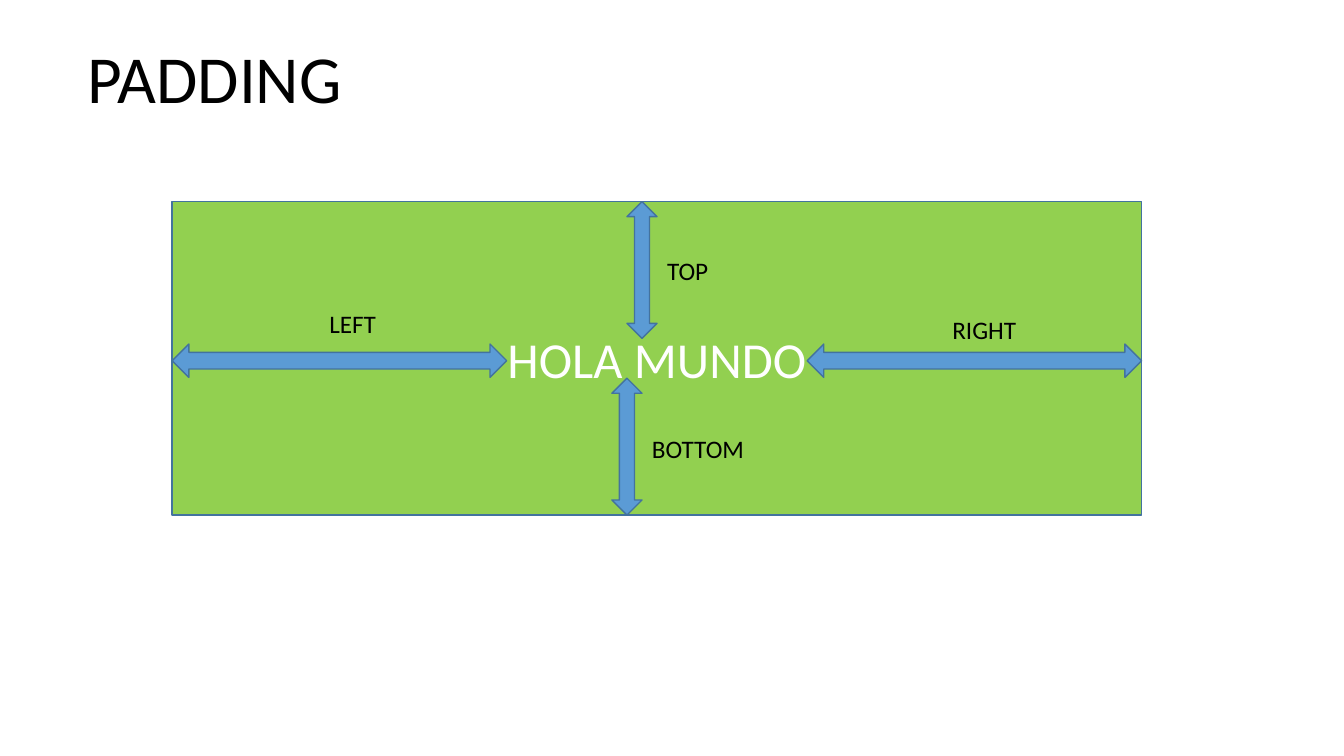
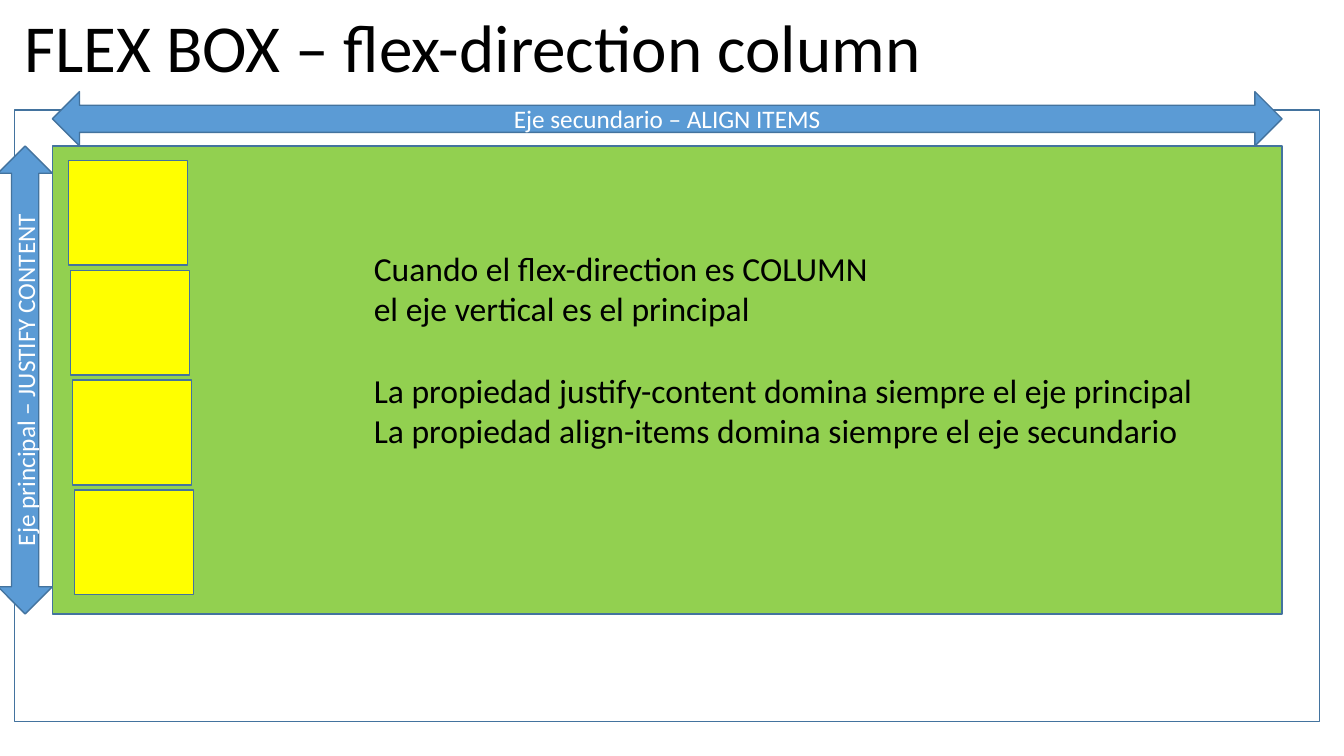
from dataclasses import dataclass
from typing import Optional

from pptx import Presentation
from pptx.dml.color import RGBColor
from pptx.enum.shapes import MSO_SHAPE
from pptx.enum.text import MSO_ANCHOR, MSO_AUTO_SIZE, PP_ALIGN
from pptx.util import Cm, Pt

BLACK = RGBColor(0x00, 0x00, 0x00)
WHITE = RGBColor(0xFF, 0xFF, 0xFF)
GREEN = RGBColor(0x92, 0xD0, 0x50)
YELLOW = RGBColor(0xFF, 0xFF, 0x00)
BLUE = RGBColor(0x5B, 0x9B, 0xD5)
OUTLINE = RGBColor(0x43, 0x73, 0x9E)

RECTANGLE = MSO_SHAPE.RECTANGLE
VERTICAL_ARROW = MSO_SHAPE.UP_DOWN_ARROW
HORIZONTAL_ARROW = MSO_SHAPE.LEFT_RIGHT_ARROW
TOP, MIDDLE = MSO_ANCHOR.TOP, MSO_ANCHOR.MIDDLE
LEFT, CENTER = PP_ALIGN.LEFT, PP_ALIGN.CENTER
NO_AUTOFIT = MSO_AUTO_SIZE.NONE

FONT = "Calibri"
TITLE_SIZE, HEADLINE_SIZE, BODY_SIZE, LABEL_SIZE = 48, 36, 24, 18
TITLE_ONLY_LAYOUT = 5


@dataclass(frozen=True)
class Box:
    """A rectangle on the slide, in centimetres."""
    left: float
    top: float
    width: float
    height: float

    @property
    def right(self) -> float:
        return self.left + self.width

    @property
    def bottom(self) -> float:
        return self.top + self.height

    def lengths(self) -> tuple:
        return Cm(self.left), Cm(self.top), Cm(self.width), Cm(self.height)


@dataclass(frozen=True)
class Label:
    text: str
    box: Box


def write(frame, lines: list[str], size: int, color: RGBColor,
          align=LEFT, anchor=TOP) -> None:
    frame.word_wrap = True
    frame.auto_size = NO_AUTOFIT
    frame.vertical_anchor = anchor
    for index, line in enumerate(lines):
        paragraph = frame.add_paragraph() if index else frame.paragraphs[0]
        paragraph.alignment = align
        run = paragraph.add_run()
        run.text = line
        run.font.name = FONT
        run.font.size = Pt(size)
        run.font.color.rgb = color


def add_titled_slide(prs, title: str, box: Box):
    slide = prs.slides.add_slide(prs.slide_layouts[TITLE_ONLY_LAYOUT])
    heading = slide.shapes.title
    heading.left, heading.top, heading.width, heading.height = box.lengths()
    write(heading.text_frame, [title], TITLE_SIZE, BLACK)
    return slide


def add_outlined(slide, kind, box: Box, fill: Optional[RGBColor],
                 text: str = "", size: int = LABEL_SIZE, rotation: float = 0) -> None:
    shape = slide.shapes.add_shape(kind, *box.lengths())
    shape.rotation = rotation
    shape.shadow.inherit = False
    if fill is None:
        shape.fill.background()
    else:
        shape.fill.solid()
        shape.fill.fore_color.rgb = fill
    shape.line.color.rgb = OUTLINE
    shape.line.width = Pt(1)
    if text:
        write(shape.text_frame, [text], size, WHITE, CENTER, MIDDLE)


def add_text(slide, box: Box, lines: list[str], size: int) -> None:
    write(slide.shapes.add_textbox(*box.lengths()).text_frame, lines, size, BLACK)


def build_padding_slide(prs) -> None:
    slide = add_titled_slide(prs, "PADDING", Box(1.96, 0.79, 8.05, 2.31))
    element = Box(4.34, 5.08, 24.43, 7.9)
    add_outlined(slide, RECTANGLE, element, GREEN, "HOLA MUNDO", HEADLINE_SIZE)

    thickness, height = 0.76, 3.45
    for left, top in ((15.8, element.top), (15.42, element.bottom - height)):
        add_outlined(slide, VERTICAL_ARROW, Box(left, top, thickness, height), BLUE)

    width = 8.43
    for left in (element.right - width, element.left):
        add_outlined(slide, HORIZONTAL_ARROW, Box(left, 8.67, width, 0.84), BLUE)

    sides = (
        Label("TOP", Box(16.56, 6.3, 2.39, 1.02)),
        Label("BOTTOM", Box(16.18, 10.8, 3.33, 1.02)),
        Label("LEFT", Box(8.05, 7.65, 2.39, 1.02)),
        Label("RIGHT", Box(23.75, 7.8, 2.39, 1.02)),
    )
    for side in sides:
        add_text(slide, side.box, [side.text], LABEL_SIZE)


def build_flex_column_slide(prs) -> None:
    slide = add_titled_slide(prs, "FLEX BOX – flex-direction column",
                             Box(0.36, 0, 32.89, 2.31))
    container = Box(1.32, 3.68, 30.99, 11.79)
    add_outlined(slide, RECTANGLE, container, GREEN)
    add_outlined(slide, RECTANGLE, Box(0.36, 2.77, 32.89, 15.42), None)

    for index in range(4):
        item = Box(1.73 + 0.05 * index, 4.04 + 2.77 * index, 3, 2.64)
        add_outlined(slide, RECTANGLE, item, YELLOW)

    thickness = 1.37
    cross_axis = Box(container.left, container.top - thickness, container.width, thickness)
    add_outlined(slide, HORIZONTAL_ARROW, cross_axis, BLUE, "Eje secundario – ALIGN ITEMS")

    # The main axis lies flat around its centre before it is turned upright.
    length = container.height
    center_x, center_y = container.left - thickness / 2, container.top + length / 2
    main_axis = Box(center_x - length / 2, center_y - thickness / 2, length, thickness)
    add_outlined(slide, HORIZONTAL_ARROW, main_axis, BLUE,
                 "Eje principal – JUSTIFY CONTENT", rotation=270)

    add_text(slide, Box(9.17, 6.12, 16.84, 2.31),
             ["Cuando el flex-direction es COLUMN",
              "el eje vertical es el principal"], BODY_SIZE)
    add_text(slide, Box(9.17, 9.19, 23.2, 2.31),
             ["La propiedad justify-content domina siempre el eje principal",
              "La propiedad align-items domina siempre el eje secundario"], BODY_SIZE)


def main() -> None:
    prs = Presentation()
    prs.slide_width, prs.slide_height = Cm(33.87), Cm(19.05)
    build_padding_slide(prs)
    build_flex_column_slide(prs)
    prs.save("out.pptx")


if __name__ == "__main__":
    main()
